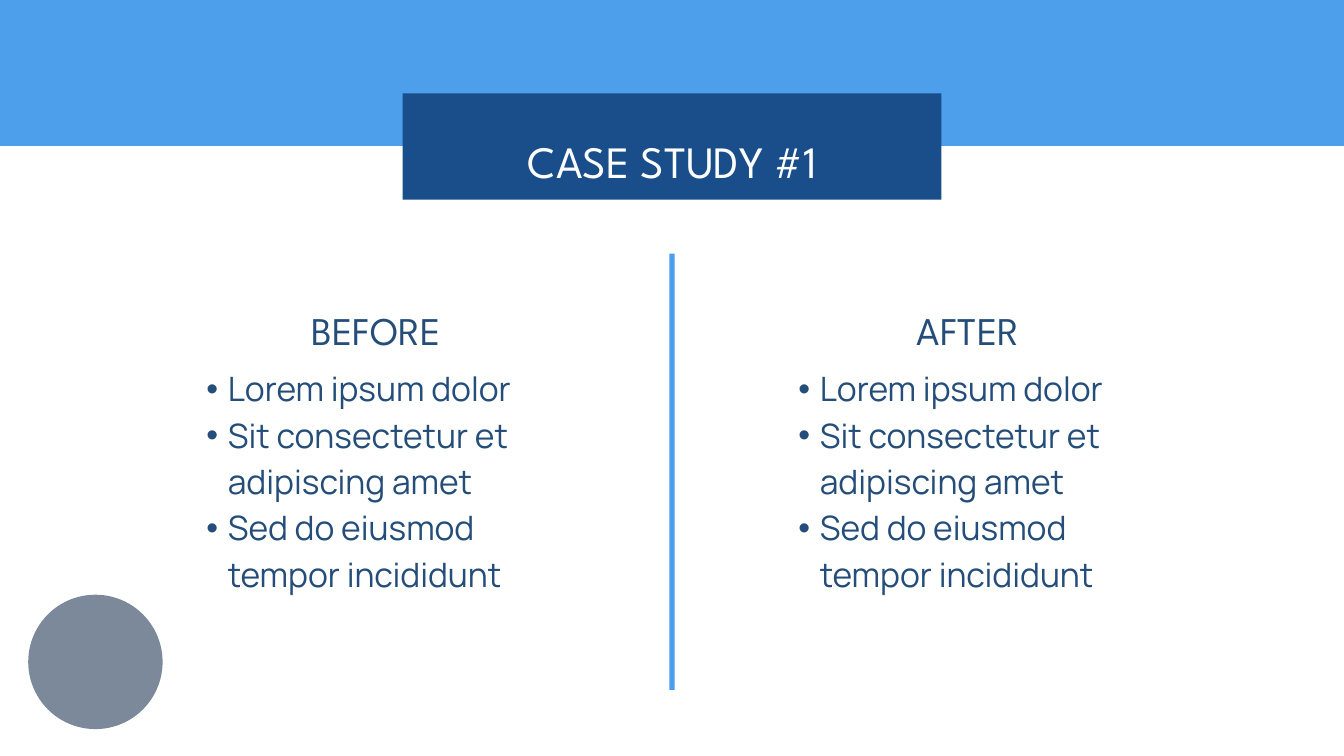
"""Build a before-and-after case study slide."""
from dataclasses import dataclass

from lxml.etree import SubElement
from pptx import Presentation
from pptx.dml.color import RGBColor
from pptx.enum.shapes import MSO_SHAPE
from pptx.enum.text import MSO_ANCHOR, MSO_AUTO_SIZE, PP_ALIGN
from pptx.oxml.ns import qn
from pptx.util import Inches, Pt

COLUMNS, ROWS = 80, 45
CELL = Inches(0.25)
SKY, NAVY, INK, SLATE, WHITE = "4D9EEB", "1A4E8A", "244D79", "7C899A", "FFFFFF"
HEADING_FONT, BODY_FONT = "League Spartan", "Manrope"
POINTS = [
    "Lorem ipsum dolor",
    "Sit consectetur et adipiscing amet",
    "Sed do eiusmod tempor incididunt",
]


@dataclass(frozen=True)
class Area:
    """A region in grid columns and rows."""
    column: float
    row: float
    columns: float
    rows: float

    def lengths(self) -> list[int]:
        """Return left, top, width and height in EMU."""
        return [round(n * CELL) for n in (self.column, self.row, self.columns, self.rows)]


@dataclass(frozen=True)
class Block:
    """A plain filled shape."""
    area: Area
    fill: str
    preset: MSO_SHAPE = MSO_SHAPE.RECTANGLE


@dataclass(frozen=True)
class Style:
    """The look of a paragraph."""
    font: str
    size: int
    colour: str
    spacing: float
    align: PP_ALIGN = PP_ALIGN.CENTER


@dataclass(frozen=True)
class Side:
    """One half of the comparison."""
    heading: str
    column: float
    heading_idx: int
    list_idx: int


BLOCKS = [
    Block(Area(39.84, 15.1, 0.32, 25.96), SKY),
    Block(Area(0, 0, COLUMNS, 8.68), SKY),
    Block(Area(23.96, 5.56, 32.08, 6.32), NAVY),
    Block(Area(1.68, 35.4, 8, 8), SLATE, MSO_SHAPE.OVAL),
]
SIDES = [Side("BEFORE", 10.68, 1, 2), Side("AFTER", 45.92, 3, 4)]
TITLE = Style(HEADING_FONT, 48, WHITE, 1.3)
HEADING = Style(HEADING_FONT, 42, INK, 1.4)
BODY = Style(BODY_FONT, 36, INK, 1.15, PP_ALIGN.LEFT)


def rgb(colour: str) -> RGBColor:
    """Turn a hex string into a colour."""
    return RGBColor.from_string(colour)


def draw_block(slide, block: Block) -> None:
    """Draw a filled shape without outline or shadow."""
    shape = slide.shapes.add_shape(block.preset, *block.area.lengths())
    shape.shadow.inherit = False
    shape.fill.solid()
    shape.fill.fore_color.rgb = rgb(block.fill)
    shape.line.fill.background()


def write(placeholder, area: Area, lines: list[str], style: Style) -> None:
    """Move a placeholder in front and fill it with styled paragraphs."""
    placeholder.left, placeholder.top, placeholder.width, placeholder.height = area.lengths()
    placeholder.element.getparent().append(placeholder.element)
    frame = placeholder.text_frame
    frame.text = "\n".join(lines)
    frame.word_wrap = True
    frame.auto_size = MSO_AUTO_SIZE.NONE
    frame.vertical_anchor = MSO_ANCHOR.TOP
    frame.margin_left = frame.margin_top = frame.margin_right = frame.margin_bottom = 0
    for paragraph in frame.paragraphs:
        paragraph.alignment = style.align
        paragraph.line_spacing = style.spacing
        paragraph.space_before = paragraph.space_after = Pt(0)
        for run in paragraph.runs:
            run.font.name = style.font
            run.font.size = Pt(style.size)
            run.font.bold = False
            run.font.color.rgb = rgb(style.colour)


def add_bullets(placeholder, colour: str) -> None:
    """Give every paragraph a coloured bullet and a hanging indent."""
    for paragraph in placeholder.text_frame.paragraphs:
        paragraph.level = 1
        properties = paragraph._p.get_or_add_pPr()
        properties.set("marL", str(Inches(0.65)))
        properties.set("indent", str(Inches(-0.32)))
        bullet_colour = SubElement(properties, qn("a:buClr"))
        SubElement(bullet_colour, qn("a:srgbClr"), val=colour)
        SubElement(properties, qn("a:buFont"), typeface="Arial")
        SubElement(properties, qn("a:buChar"), char="•")


def draw_side(slide, side: Side) -> None:
    """Write a heading and its list."""
    spots = {spot.placeholder_format.idx: spot for spot in slide.placeholders}
    write(spots[side.heading_idx], Area(side.column, 17.12, 23.4, 2.84), [side.heading], HEADING)
    points = spots[side.list_idx]
    write(points, Area(side.column + 0.28, 21.56, 22.84, 13.56), POINTS, BODY)
    add_bullets(points, INK)


def main() -> None:
    """Build and save the slide."""
    deck = Presentation()
    deck.slide_width, deck.slide_height = COLUMNS * CELL, ROWS * CELL
    slide = deck.slides.add_slide(deck.slide_layouts.get_by_name("Comparison"))
    for block in BLOCKS:
        draw_block(slide, block)
    write(slide.shapes.title, Area(25.44, 7, 29.16, 3.24), ["CASE STUDY #1"], TITLE)
    for side in SIDES:
        draw_side(slide, side)
    deck.save("out.pptx")


if __name__ == "__main__":
    main()
